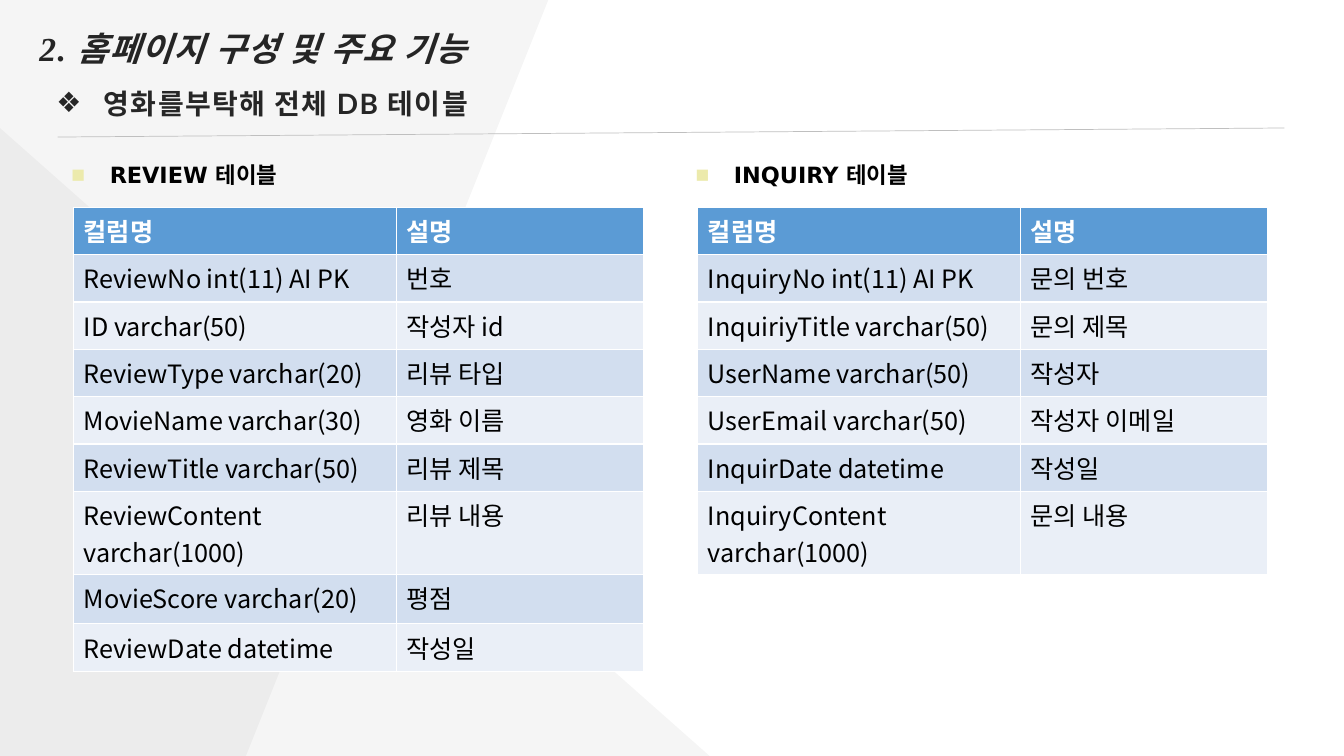
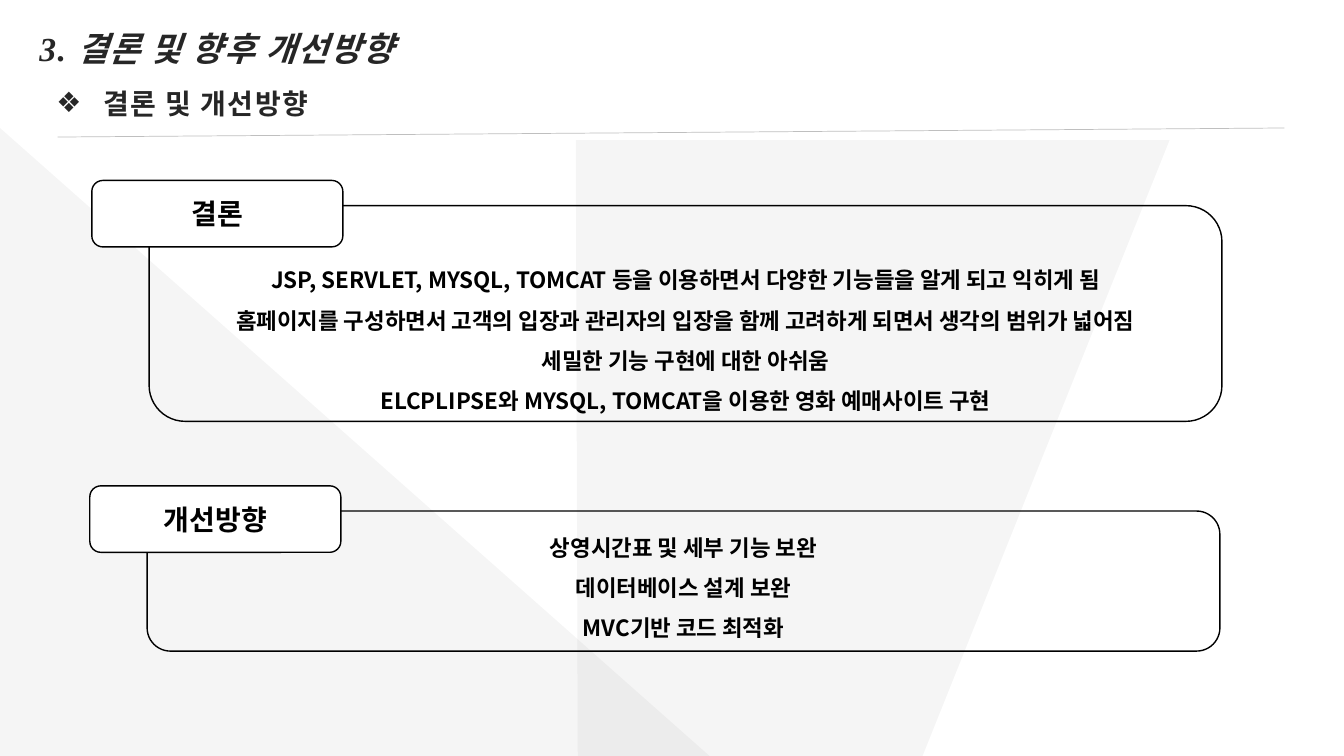
import pptx
import pptx.dml.color
import pptx.enum.shapes
import pptx.enum.text
import pptx.oxml
import pptx.oxml.ns
import pptx.util
from lxml import etree

# Shared style
COLOURS = {
    "heading": "262626", "text": "000000", "white": "FFFFFF", "shade": "181717",
    "rule": "BFBFBF", "bullet": "ECEAAC", "header": "5B9BD5",
    "odd_row": "D2DEEF", "even_row": "EAEFF7",
}
KOREAN = "Noto Sans CJK KR"


def text_style(name, size, colour="text", bold=True, italic=False, spacing=0):
    font = {"name": name, "size": pptx.util.Pt(size), "bold": bold, "italic": italic}
    return {"font": font, "colour": colour, "spacing": spacing}


STYLES = {
    "title": text_style("Times New Roman", 24, "heading", italic=True, spacing=100),
    "title_lato": text_style("Lato", 24, "heading", italic=True, spacing=100),
    "subtitle": text_style("Times New Roman", 20, "heading", spacing=100),
    "subtitle_lato": text_style("Lato", 20, "heading", spacing=100),
    "section": text_style("DejaVu Sans", 16),
    "body": text_style(KOREAN, 16),
    "label": text_style("Calibri", 20),
    "table_header": text_style(KOREAN, 18, "white"),
    "table_cell": text_style(KOREAN, 18, bold=False),
}
BULLETS = {
    "diamond": {"symbol": "❖", "colour": "heading", "percent": 100, "indent": 0.47},
    "square": {"symbol": "■", "colour": "bullet", "percent": 65, "indent": 0.38},
}

# Positions on a grid of 100 columns by 100 rows
WEDGE = [(0, 16.93), (52.8, 100), (0, 100)]
TABLE_STEP = 46.44
TABLE_COLUMNS = [24, 18.38]
ROW, SCORE_ROW, TALL_ROW = 6.27, 6.53, 9.47


def rgb(name):
    return pptx.dml.color.RGBColor.from_string(COLOURS[name])


def add_element(parent, tag, **attributes):
    element = etree.SubElement(parent, pptx.oxml.ns.qn(tag))
    for key, value in attributes.items():
        element.set(key, str(value))
    return element


class Deck:
    def __init__(self):
        self.presentation = pptx.Presentation()
        self.presentation.slide_width = pptx.util.Inches(13.33)
        self.presentation.slide_height = pptx.util.Inches(7.5)
        self.slide = None

    # Grid
    def columns(self, count):
        return pptx.util.Emu(round(self.presentation.slide_width * count / 100))

    def rows(self, count):
        return pptx.util.Emu(round(self.presentation.slide_height * count / 100))

    def box(self, left, top, width, height):
        return self.columns(left), self.rows(top), self.columns(width), self.rows(height)

    # Text
    def add_runs(self, paragraph, runs):
        for text, style_name in runs:
            style = STYLES[style_name]
            run = paragraph.add_run()
            run.text = text
            for key, value in style["font"].items():
                setattr(run.font, key, value)
            run.font.color.rgb = rgb(style["colour"])
            properties = run._r.get_or_add_rPr()
            properties.set("spc", str(style["spacing"]))
            add_element(properties, "a:ea", typeface=KOREAN)

    def frame_text(self, frame, **settings):
        values = {"word_wrap": True, "auto_size": pptx.enum.text.MSO_AUTO_SIZE.NONE,
                  "vertical_anchor": pptx.enum.text.MSO_ANCHOR.TOP,
                  "margin_left": pptx.util.Inches(0.1), "margin_right": pptx.util.Inches(0.1),
                  "margin_top": pptx.util.Inches(0.05), "margin_bottom": pptx.util.Inches(0.05)}
        values.update(settings)
        for key, value in values.items():
            setattr(frame, key, value)
        return frame

    def bullet_text(self, place, runs, bullet_name):
        shape = self.slide.shapes.add_textbox(*self.box(*place))
        paragraph = self.frame_text(shape.text_frame).paragraphs[0]
        bullet = BULLETS[bullet_name]
        indent = pptx.util.Inches(bullet["indent"])
        properties = paragraph._p.get_or_add_pPr()
        properties.set("marL", str(indent))
        properties.set("indent", str(-indent))
        colour = add_element(properties, "a:buClr")
        add_element(colour, "a:srgbClr", val=COLOURS[bullet["colour"]])
        add_element(properties, "a:buSzPct", val=bullet["percent"] * 1000)
        add_element(properties, "a:buFont", typeface="DejaVu Sans")
        add_element(properties, "a:buChar", char=bullet["symbol"])
        self.add_runs(paragraph, runs)

    # Slide with its background, title, subtitle and rule
    def new_slide(self, title, subtitle, band):
        self.slide = self.presentation.slides.add_slide(self.presentation.slide_layouts[5])
        for points in (WEDGE, band):
            self.shade(points)
        shape = self.slide.shapes.title
        shape.left, shape.top, shape.width, shape.height = self.box(2.18, 3.07, 38.8, 6.93)
        paragraph = self.frame_text(shape.text_frame).paragraphs[0]
        paragraph.alignment = pptx.enum.text.PP_ALIGN.LEFT
        self.add_runs(paragraph, title)
        self.bullet_text((3.45, 10.8, 34.8, 9.07), subtitle, "diamond")
        self.rule((4.28, 18.13), (95.57, 16.93))

    def shade(self, points):
        corners = [(self.columns(x), self.rows(y)) for x, y in points]
        builder = self.slide.shapes.build_freeform(*corners[0])
        builder.add_line_segments(corners[1:], close=True)
        shape = builder.convert_to_shape()
        shape.shadow.inherit = False
        shape.line.fill.background()
        shape.fill.solid()
        shape.fill.fore_color.rgb = rgb("shade")
        colour = shape._element.spPr.find(".//" + pptx.oxml.ns.qn("a:srgbClr"))
        add_element(colour, "a:alpha", val=4000)

    def rule(self, start, end):
        line = self.slide.shapes.add_connector(
            pptx.enum.shapes.MSO_CONNECTOR.STRAIGHT,
            self.columns(start[0]), self.rows(start[1]),
            self.columns(end[0]), self.rows(end[1]))
        line.line.color.rgb = rgb("rule")
        line.line.width = pptx.util.Pt(0.5)
        add_element(line._element.spPr, "a:effectLst")

    # Table with its heading
    def table(self, index, name, heights, records):
        shift = index * TABLE_STEP
        self.bullet_text((4.58 + shift, 20.67, 26.78, 5.6),
                         [(name + " ", "section"), ("테이블", "body")], "square")
        place = self.box(5.48 + shift, 27.4, sum(TABLE_COLUMNS), sum(heights))
        table = self.slide.shapes.add_table(
            len(heights), len(TABLE_COLUMNS), *place).table
        for column, width in zip(table.columns, TABLE_COLUMNS):
            column.width = self.columns(width)
        for row, height in zip(table.rows, heights):
            row.height = self.rows(height)
        for row_index, record in enumerate([("컬럼명", "설명")] + records):
            style = "table_cell" if row_index else "table_header"
            fill = ("even_row", "odd_row")[row_index % 2] if row_index else "header"
            for column_index, text in enumerate(record):
                self.fill_cell(table.cell(row_index, column_index), text, style, fill)

    def fill_cell(self, cell, text, style, fill):
        self.add_runs(cell.text_frame.paragraphs[0], [(text, style)])
        properties = cell._tc.get_or_add_tcPr()
        for side in ("a:lnL", "a:lnR", "a:lnT", "a:lnB"):
            border = add_element(properties, side, w=pptx.util.Pt(1))
            solid = add_element(border, "a:solidFill")
            add_element(solid, "a:srgbClr", val=COLOURS["white"])
        cell.fill.solid()
        cell.fill.fore_color.rgb = rgb(fill)

    # Outlined panel with a label on its corner
    def panel(self, place, label, lines, margin_top=0.05):
        left, top = place[:2]
        self.rounded_box(place, lines, "body", line_spacing=1.5, margin_top=margin_top)
        self.rounded_box((left - 4.27, top - 3.33, 18.68, 8.8), [label], "label", fill="white")

    def rounded_box(self, place, lines, style, fill=None, line_spacing=1.0, margin_top=0.05):
        shape = self.slide.shapes.add_shape(
            pptx.enum.shapes.MSO_SHAPE.ROUNDED_RECTANGLE, *self.box(*place))
        shape.shadow.inherit = False
        shape.line.color.rgb = rgb("text")
        shape.line.width = pptx.util.Pt(1)
        if fill:
            shape.fill.solid()
            shape.fill.fore_color.rgb = rgb(fill)
        else:
            shape.fill.background()
        frame = self.frame_text(shape.text_frame, margin_top=pptx.util.Inches(margin_top),
                                vertical_anchor=pptx.enum.text.MSO_ANCHOR.MIDDLE)
        for index, text in enumerate(lines):
            paragraph = frame.add_paragraph() if index else frame.paragraphs[0]
            paragraph.alignment = pptx.enum.text.PP_ALIGN.CENTER
            paragraph.line_spacing = line_spacing
            self.add_runs(paragraph, [(text, style)])


def main():
    deck = Deck()

    # Database tables
    deck.new_slide([("2. ", "title"), ("홈페이지 구성 및 주요 기능", "title_lato")],
                   [("영화를부탁해 전체 DB 테이블", "subtitle_lato")],
                   [(0, 0), (40.8, 0), (18.3, 100), (0, 100)])
    deck.table(0, "REVIEW", [ROW] * 6 + [TALL_ROW, SCORE_ROW, ROW], [
        ("ReviewNo int(11) AI PK", "번호"),
        ("ID varchar(50)", "작성자 id"),
        ("ReviewType varchar(20)", "리뷰 타입"),
        ("MovieName varchar(30)", "영화 이름"),
        ("ReviewTitle varchar(50)", "리뷰 제목"),
        ("ReviewContent varchar(1000)", "리뷰 내용"),
        ("MovieScore varchar(20)", "평점"),
        ("ReviewDate datetime", "작성일"),
    ])
    deck.table(1, "INQUIRY", [ROW] * 6 + [TALL_ROW], [
        ("InquiryNo int(11) AI PK", "문의 번호"),
        ("InquiriyTitle varchar(50)", "문의 제목"),
        ("UserName varchar(50)", "작성자"),
        ("UserEmail varchar(50)", "작성자 이메일"),
        ("InquirDate datetime", "작성일"),
        ("InquiryContent varchar(1000)", "문의 내용"),
    ])

    # Conclusion and improvements
    deck.new_slide([("3. 결론 및 향후 개선방향", "title")],
                   [("결론 및 개선방향", "subtitle")],
                   [(42.84, 18.53), (87.02, 18.53), (68.64, 100), (42.99, 100)])
    deck.panel((10.95, 67.6, 79.82, 18.53), "개선방향", [
        "상영시간표 및 세부 기능 보완",
        "데이터베이스 설계 보완",
        "MVC기반 코드 최적화",
    ])
    deck.panel((11.1, 27.2, 79.82, 28.53), "결론", [
        "JSP, SERVLET, MYSQL, TOMCAT 등을 이용하면서 다양한 기능들을 알게 되고 익히게 됨",
        "홈페이지를 구성하면서 고객의 입장과 관리자의 입장을 함께 고려하게 되면서 생각의 범위가 넓어짐",
        "세밀한 기능 구현에 대한 아쉬움",
        "ELCPLIPSE와 MYSQL, TOMCAT을 이용한 영화 예매사이트 구현",
    ], margin_top=0.45)

    deck.presentation.save("out.pptx")


if __name__ == "__main__":
    main()
